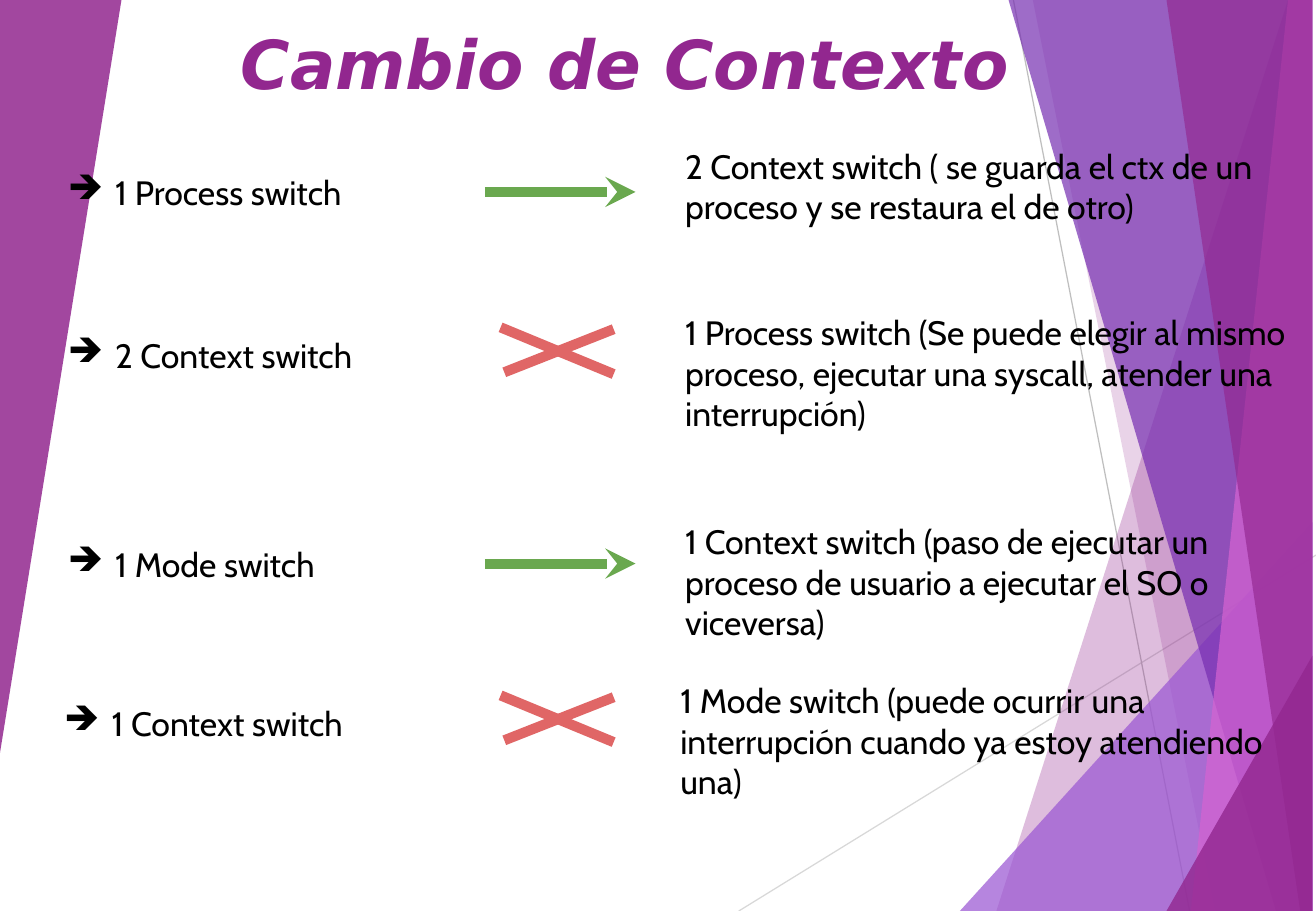
from lxml.etree import SubElement
from pptx import Presentation
from pptx.dml.color import RGBColor
from pptx.enum.shapes import MSO_CONNECTOR
from pptx.enum.text import MSO_ANCHOR, PP_ALIGN
from pptx.oxml.ns import qn
from pptx.util import Inches, Pt

CELL = Inches(0.1)
COLUMNS, ROWS = 108.3, 75
COLORS = {
    "purple": "92278F", "violet": "762EB1", "lavender": "9B57D3", "pink": "D663D2",
    "green": "6AA84F", "red": "E06666", "gray": "BFBFBF", "light": "D8D8D8",
    "black": "000000",
}
FACETS = [
    ("purple", 30, [(105.6, 0), (81.7, ROWS), (COLUMNS, ROWS), (COLUMNS, 0)]),
    ("purple", 20, [(85.4, 0), (99.6, ROWS), (COLUMNS, ROWS), (COLUMNS, 0)]),
    ("lavender", 72, [(78.6, ROWS), (COLUMNS, 42.9), (COLUMNS, ROWS)]),
    ("violet", 70, [(83.1, 0), (105.1, ROWS), (COLUMNS, ROWS), (COLUMNS, 0)]),
    ("pink", 70, [(106.3, 0), (98.3, ROWS), (COLUMNS, ROWS), (COLUMNS, 0)]),
    ("purple", 65, [(95.7, 0), (106.8, ROWS), (COLUMNS, ROWS), (COLUMNS, 0)]),
    ("purple", 80, [(95.5, ROWS), (COLUMNS, 53.5), (COLUMNS, ROWS)]),
    ("purple", 85, [(0, 0), (10.1, 0), (0, 61.7)]),
]
SWITCHES = [
    (15.8, 3.5, "1 Process switch", True, 55.4, 11,
     "2 Context switch ( se guarda el ctx de un proceso y se restaura el de otro)"),
    (29.2, 3.5, "2 Context switch", False, 55.4, 24.7,
     "1 Process switch (Se puede elegir al mismo proceso, ejecutar una syscall, "
     "atender una interrupción)"),
    (46.4, 3.5, "1 Mode switch", True, 55.4, 41.9,
     "1 Context switch (paso de ejecutar un proceso de usuario a ejecutar el SO o viceversa)"),
    (59.5, 3.2, "1 Context switch", False, 55, 55,
     "1 Mode switch (puede ocurrir una interrupción cuando ya estoy atendiendo una)"),
]


def cells(*counts):
    """Convert grid cells to slide lengths."""
    return [round(count * CELL) for count in counts]


def add_facet(slide, color, opacity, points):
    """Draw one translucent polygon of the background."""
    builder = slide.shapes.build_freeform(*points[0], scale=CELL)
    builder.add_line_segments(points[1:], close=True)
    shape = builder.convert_to_shape()
    shape.shadow.inherit = False
    shape.line.fill.background()
    shape.fill.solid()
    shape.fill.fore_color.rgb = RGBColor.from_string(COLORS[color])
    tint = shape.fill._xPr.find(qn("a:solidFill"))[0]
    SubElement(tint, qn("a:alpha"), val=str(opacity * 1000))


def add_line(slide, start, end, color, width, arrow=False):
    """Draw a straight line, with a stealth arrowhead if asked."""
    line = slide.shapes.add_connector(MSO_CONNECTOR.STRAIGHT, *cells(*start, *end))
    line.line.color.rgb = RGBColor.from_string(COLORS[color])
    line.line.width = Pt(width)
    if arrow:
        SubElement(line.line._get_or_add_ln(), qn("a:tailEnd"), type="stealth")
    SubElement(line._element.spPr, qn("a:effectLst"))


def add_text(slide, box, text, size=20, font="Cabin", color="black", anchor=MSO_ANCHOR.TOP):
    """Add a wrapped text box and return its paragraph and run."""
    frame = slide.shapes.add_textbox(*cells(*box)).text_frame
    frame.word_wrap = True
    frame.vertical_anchor = anchor
    frame.margin_left = frame.margin_right = CELL
    frame.margin_top = frame.margin_bottom = CELL
    paragraph = frame.paragraphs[0]
    run = paragraph.add_run()
    run.text = text
    run.font.size = Pt(size)
    run.font.name = font
    run.font.color.rgb = RGBColor.from_string(COLORS[color])
    return paragraph, run


def add_arrow_bullet(paragraph):
    """Give a paragraph a hanging arrow bullet."""
    properties = paragraph._p.get_or_add_pPr()
    properties.set("marL", str(Inches(0.5)))
    properties.set("indent", str(Inches(-0.39)))
    bullet_color = SubElement(properties, qn("a:buClr"))
    SubElement(bullet_color, qn("a:srgbClr"), val=COLORS["black"])
    SubElement(properties, qn("a:buChar"), char="➔")


def add_cross(slide, middle):
    """Cross out an implication that does not hold."""
    add_line(slide, (41.5, middle + 1.45), (50.5, middle - 2.1), "red", 6)
    add_line(slide, (41.2, middle - 2.25), (50.5, middle + 1.6), "red", 6)


def add_switch(slide, middle, left, cause, implies, right, top, effect):
    """Add one row: cause, arrow or cross, and effect."""
    paragraph, _ = add_text(slide, (left, middle - 4, 38.4, 8), cause, anchor=MSO_ANCHOR.MIDDLE)
    add_arrow_bullet(paragraph)
    add_text(slide, (right, top, 51.9, 14), effect)
    if implies:
        add_line(slide, (39.9, middle), (52.3, middle), "green", 6, arrow=True)
    else:
        add_cross(slide, middle)


def add_title(slide):
    """Add the centred title."""
    paragraph, run = add_text(slide, (12.4, 1.3, 78, 7.7), "Cambio de Contexto",
                              40, "DejaVu Sans", "purple", MSO_ANCHOR.MIDDLE)
    paragraph.alignment = PP_ALIGN.CENTER
    run.font.bold = run.font.italic = True


def main():
    """Build and save the slide."""
    presentation = Presentation()
    presentation.slide_width, presentation.slide_height = cells(COLUMNS, ROWS)
    slide = presentation.slides.add_slide(presentation.slide_layouts[6])
    add_line(slide, (60.8, ROWS), (COLUMNS, 45.7), "light", 0.75)
    add_line(slide, (83.4, 0), (97.9, ROWS), "gray", 0.75)
    for facet in FACETS:
        add_facet(slide, *facet)
    for switch in SWITCHES:
        add_switch(slide, *switch)
    add_title(slide)
    presentation.save("out.pptx")


if __name__ == "__main__":
    main()
